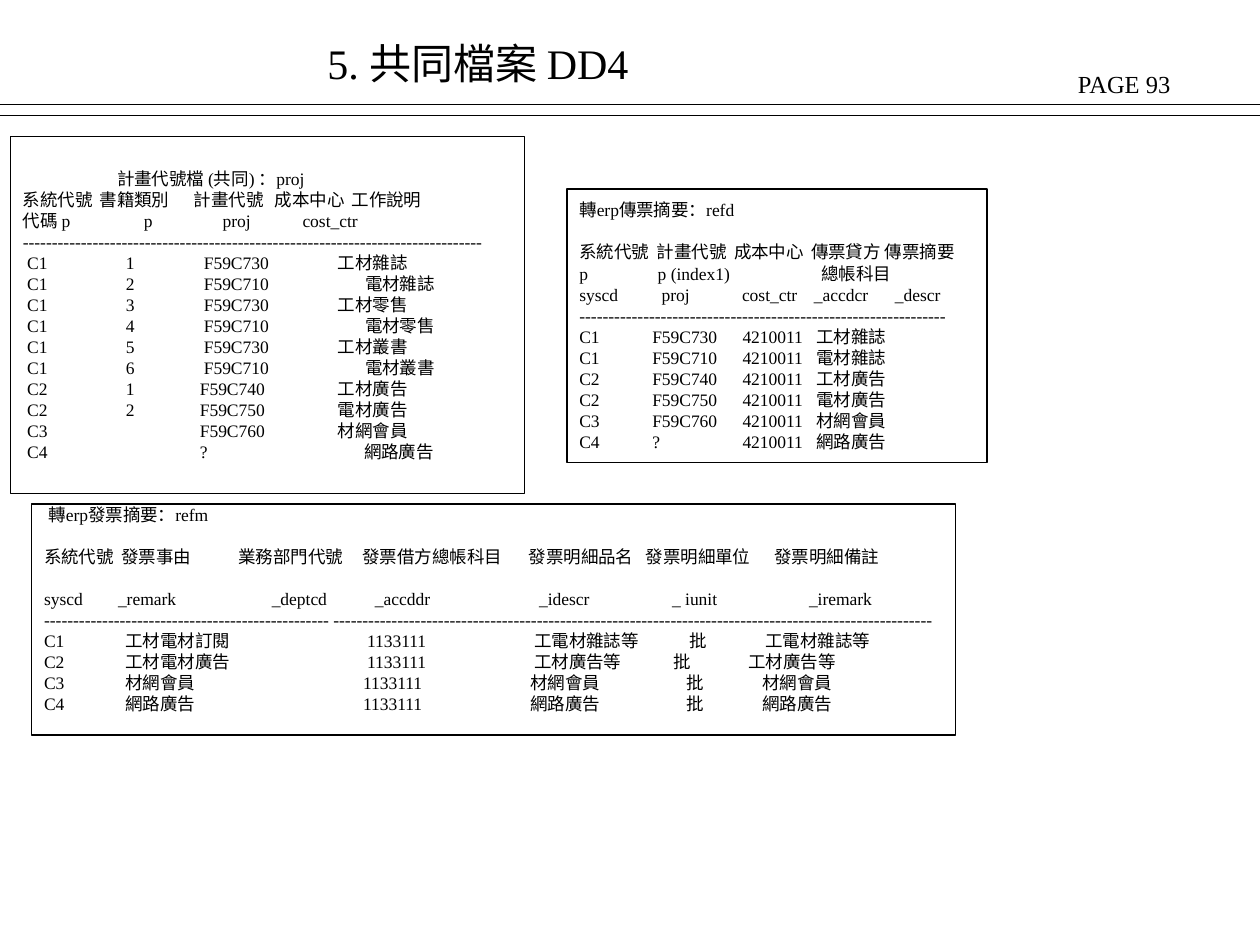
from pptx import Presentation
from pptx.dml.color import RGBColor
from pptx.enum.shapes import MSO_CONNECTOR, MSO_SHAPE
from pptx.enum.text import MSO_ANCHOR, PP_ALIGN
from pptx.oxml.ns import qn
from pptx.util import Cm, Pt
from lxml import etree

RECT = MSO_SHAPE.RECTANGLE
LINE = MSO_CONNECTOR.STRAIGHT
TOP, MID = MSO_ANCHOR.TOP, MSO_ANCHOR.MIDDLE
LEFT = PP_ALIGN.LEFT

COLORS = {"ink": "000000"}
FACE = "Times New Roman"
TITLE = "5. 共同檔案 DD4"
PAGE = "PAGE 93"
RULES = [2.11, 2.33]  # heights of the two lines, cm
GAP = 12  # one empty line, pt

# Tab stops in cm, shared by rows of the same layout
NEAR = (0.09, 2.08, 3.65, 6.35)
FAR = (0.09, 2.08, 3.65, 6.9)
SLIM = (0.09, 2.08, 3.57, 6.35)
REFD = (1.47, 3.29, 4.78)
REFM = (1.64, 6.51, 9.88, 13.02, 14.54)
BACK = (1.64, 6.51, 9.88, 12.68, 14.2)
WEB = (1.64, 6.43, 9.8, 12.96, 14.48)

# Each row: tab stops, cells, and optionally the space before it
PROJ = [
    ((1.9,), ["", "計畫代號檔 (共同) ：proj"]),
    ((1.55, 3.45, 5.08, 6.63),
     ["系統代號", "書籍類別", "計畫代號", "成本中心", "工作說明"]),
    ((2.44, 4.03, 5.64), ["代碼 p", "p", "proj", "cost_ctr"]),
    ((), ["-" * 79]),
    (NEAR, ["", "C1", "1", "F59C730", "工材雜誌"]),
    (FAR, ["", "C1", "2", "F59C710", "電材雜誌"]),
    (NEAR, ["", "C1", "3", "F59C730", "工材零售"]),
    (FAR, ["", "C1", "4", "F59C710", "電材零售"]),
    (NEAR, ["", "C1", "5", "F59C730", "工材叢書"]),
    (FAR, ["", "C1", "6", "F59C710", "電材叢書"]),
    (SLIM, ["", "C2", "1", "F59C740", "工材廣告"]),
    (SLIM, ["", "C2", "2", "F59C750", "電材廣告"]),
    ((0.09, 3.57, 6.35), ["", "C3", "F59C760", "材網會員"]),
    ((0.09, 3.57, 6.88), ["", "C4", "?", "網路廣告"]),
]
SLIP = [
    ((), ["轉erp傳票摘要：refd"]),
    ((1.56, 3.12, 4.67, 6.16),
     ["系統代號", "計畫代號", "成本中心", "傳票貸方", "傳票摘要"], GAP),
    ((1.58, 4.88), ["p", "p (index1)", "總帳科目"]),
    ((1.66, 3.28, 4.73, 6.36),
     ["syscd", "proj", "cost_ctr", "_accdcr", "_descr"]),
    ((), ["-" * 63]),
    (REFD, ["C1", "F59C730", "4210011", "工材雜誌"]),
    (REFD, ["C1", "F59C710", "4210011", "電材雜誌"]),
    (REFD, ["C2", "F59C740", "4210011", "工材廣告"]),
    (REFD, ["C2", "F59C750", "4210011", "電材廣告"]),
    (REFD, ["C3", "F59C760", "4210011", "材網會員"]),
    (REFD, ["C4", "?", "4210011", "網路廣告"]),
]
BILL = [
    ((0.09,), ["", "轉erp發票摘要：refm"]),
    ((1.56, 3.92, 6.42, 9.77, 12.13, 14.72),
     ["系統代號", "發票事由", "業務部門代號", "發票借方總帳科目",
      "發票明細品名", "發票明細單位", "發票明細備註"], GAP),
    ((1.49, 4.59, 6.67, 9.98, 12.66, 15.42),
     ["syscd", "_remark", "_deptcd", "_accddr", "_idescr", "_ iunit",
      "_iremark"], GAP),
    ((), ["-" * 49 + " " + "-" * 103]),
    (REFM, ["C1", "工材電材訂閱", "1133111", "工電材雜誌等", "批", "工電材雜誌等"]),
    (BACK, ["C2", "工材電材廣告", "1133111", "工材廣告等", "批", "工材廣告等"]),
    (WEB, ["C3", "材網會員", "1133111", "材網會員", "批", "材網會員"]),
    (WEB, ["C4", "網路廣告", "1133111", "網路廣告", "批", "網路廣告"]),
]
# Left, top, width, height and bottom inset in cm, then the rows
PANELS = [
    ((0.21, 2.75, 10.37, 7.2), 0, PROJ),
    ((0.64, 10.16, 18.63, 4.66), 0.42, BILL),
    ((11.43, 3.81, 8.47, 5.51), 0, SLIP),
]


def color(name):
    return RGBColor.from_string(COLORS[name])


def write(para, text, size=10, stops=(), before=0):
    para.alignment = LEFT
    para.space_before = Pt(before)
    if stops:
        tabs = etree.SubElement(para._p.get_or_add_pPr(), qn("a:tabLst"))
        for stop in stops:
            etree.SubElement(tabs, qn("a:tab"), pos=str(Cm(stop)), algn="l")
    run = para.add_run()
    run.text = text
    run.font.name = FACE
    run.font.size = Pt(size)
    run.font.color.rgb = color("ink")


def frame(shape, anchor=TOP, top=0.13, right=0.25, bottom=0.13):
    """Set anchor, wrap and insets (cm) and return the text frame."""
    body = shape.text_frame
    body.word_wrap = True
    body.vertical_anchor = anchor
    body.margin_left = Cm(0.25)
    body.margin_top = Cm(top)
    body.margin_right = Cm(right)
    body.margin_bottom = Cm(bottom)
    return body


def rule(slide, y):
    line = slide.shapes.add_connector(LINE, 0, Cm(y), Cm(25.4), Cm(y))
    line.line.color.rgb = color("ink")
    line.line.width = Pt(0.75)
    etree.SubElement(line._element.spPr, qn("a:effectLst"))


def panel(slide, place, low, rows):
    """Draw a framed listing whose columns sit on tab stops."""
    box = slide.shapes.add_shape(RECT, *map(Cm, place))
    box.shadow.inherit = False
    box.fill.background()
    box.line.color.rgb = color("ink")
    box.line.width = Pt(0.75)
    body = frame(box, MID, top=0, right=0, bottom=low)
    for i, (stops, cells, *gap) in enumerate(rows):
        para = body.add_paragraph() if i else body.paragraphs[0]
        write(para, "\t".join(cells), stops=stops, before=sum(gap))


def main():
    deck = Presentation()
    deck.slide_width, deck.slide_height = Cm(25.4), Cm(19.05)
    slide = deck.slides.add_slide(deck.slide_layouts[5])

    title = slide.shapes.title
    title.left, title.top = Cm(6.35), Cm(0.63)
    title.width, title.height = Cm(13.34), Cm(1.27)
    write(frame(title).paragraphs[0], TITLE, size=24)

    page = slide.shapes.add_textbox(Cm(21.48), Cm(1.27), Cm(3.9), Cm(0.86))
    write(frame(page).paragraphs[0], PAGE, size=14)

    for y in RULES:
        rule(slide, y)
    for place, low, rows in PANELS:
        panel(slide, place, low, rows)
    deck.save("out.pptx")


if __name__ == "__main__":
    main()
